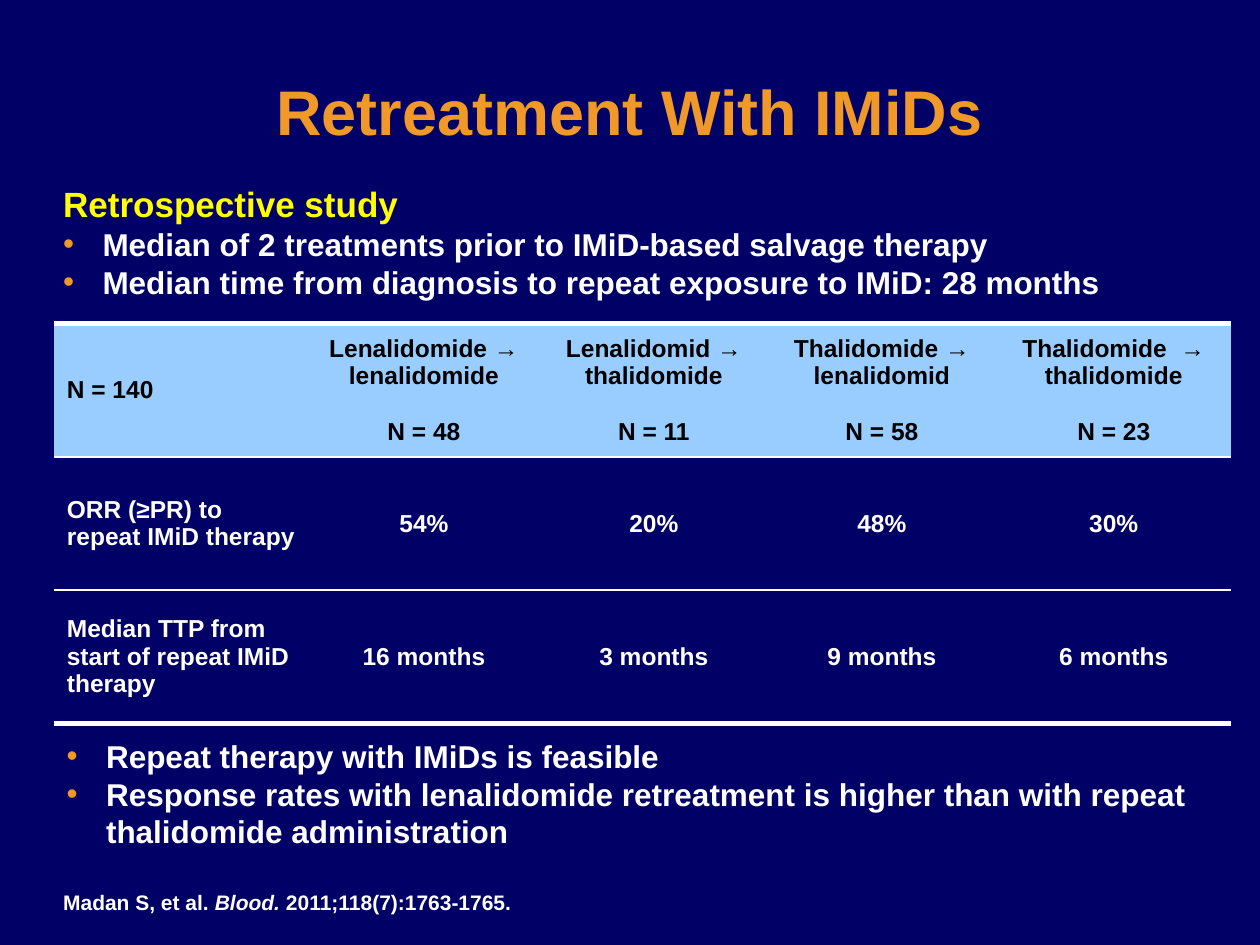
from lxml.etree import SubElement
from pptx import Presentation
from pptx.dml.color import RGBColor
from pptx.enum.text import MSO_ANCHOR as Anchor, PP_ALIGN as Align
from pptx.oxml import parse_xml
from pptx.oxml.ns import nsdecls, qn
from pptx.util import Pt

NAVY, WHITE, BLACK = "000066", "FFFFFF", "000000"
ORANGE, YELLOW, SKY = "F09828", "FFFF00", "99CCFF"


def rgb(value):
    return RGBColor.from_string(value)


class Deck:
    font = "Arial"

    def __init__(self, width, height):
        self.prs = Presentation()
        self.prs.slide_width, self.prs.slide_height = Pt(width), Pt(height)
        self.s = self.prs.slides.add_slide(self.prs.slide_layouts[5])
        fill = self.s.background.fill
        fill.solid()
        fill.fore_color.rgb = rgb(NAVY)

    def style(self, p, size, color):
        for r in p.runs:
            f = r.font
            f.name, f.size, f.bold = self.font, Pt(size), True
            f.color.rgb = rgb(color)

    def title(self, text, box, size=36):
        sp = self.s.shapes.title
        sp.left, sp.top, sp.width, sp.height = map(Pt, box)
        tf = sp.text_frame
        tf.text = text
        tf.vertical_anchor = Anchor.MIDDLE
        p = tf.paragraphs[0]
        p.alignment, p.line_spacing = Align.CENTER, 0.9
        self.style(p, size, ORANGE)
        latin = p.runs[0].font._element.find(qn("a:latin"))
        latin.addprevious(parse_xml(
            f'<a:effectLst {nsdecls("a")}><a:outerShdw blurRad="38100" dist="38100" '
            'dir="2700000"><a:srgbClr val="000000"/></a:outerShdw></a:effectLst>'))

    def bullet(self, p, indent=22.5):
        pPr = p._p.get_or_add_pPr()
        pPr.set("marL", str(Pt(indent)))
        pPr.set("indent", str(-Pt(indent)))
        SubElement(SubElement(pPr, qn("a:buClr")), qn("a:srgbClr")).set("val", ORANGE)
        SubElement(pPr, qn("a:buFont")).set("typeface", self.font)
        SubElement(pPr, qn("a:buChar")).set("char", "•")

    def text_box(self, box, wrap=True):
        tf = self.s.shapes.add_textbox(*map(Pt, box)).text_frame
        tf.word_wrap = wrap
        return tf

    def bullets(self, box, items, heading=None, wrap=True):
        tf = self.text_box(box, wrap)
        lines = ([heading] if heading else []) + items
        tf.text = "\n".join(lines)
        for p, line in zip(tf.paragraphs, lines):
            if line == heading:
                self.style(p, 20, YELLOW)
            else:
                self.bullet(p)
                self.style(p, 18, WHITE)

    def citation(self, box, parts):
        p = self.text_box(box, False).paragraphs[0]
        for text, italic in parts:
            r = p.add_run()
            r.text, r.font.italic = text, italic
        self.style(p, 12, WHITE)

    def borders(self, cell, top, bottom):
        tcPr = cell._tc.get_or_add_tcPr()
        for i, (side, width) in enumerate(zip("LRTB", (0, 0, top, bottom))):
            paint = f'<a:solidFill><a:srgbClr val="{WHITE}"/></a:solidFill>' if width else "<a:noFill/>"
            tcPr.insert(i, parse_xml(
                f'<a:ln{side} {nsdecls("a")} w="{Pt(width)}">{paint}</a:ln{side}>'))

    def table(self, box, widths, rows, size=14):
        tbl = self.s.shapes.add_table(len(rows), len(widths), *map(Pt, box)).table
        tbl.first_row = tbl.horz_banding = False
        for col, width in zip(tbl.columns, widths):
            col.width = Pt(width)
        last = len(rows) - 1
        for i, row in enumerate(rows):
            tbl.rows[i].height = Pt(box[3] / len(rows))
            for j, text in enumerate(row):
                cell = tbl.cell(i, j)
                cell.text = text
                cell.vertical_anchor = Anchor.MIDDLE
                for k, p in enumerate(cell.text_frame.paragraphs):
                    p.alignment = Align.CENTER if j else Align.LEFT
                    if k:
                        p.space_before = Pt(size * 1.15)
                    self.style(p, size, WHITE if i else BLACK)
                if i:
                    cell.fill.background()
                else:
                    cell.fill.solid()
                    cell.fill.fore_color.rgb = rgb(SKY)
                self.borders(cell, 1 if i else 3, 3 if i == last else 1)

    def save(self):
        self.prs.save("out.pptx")


def main():
    deck = Deck(720, 540)
    deck.title("Retreatment With IMiDs", (8, 33, 703.5, 66))
    deck.table((31, 185, 673, 228.5), (144.7, 133.2, 129.6, 131, 134), [
        ["N = 140", "Lenalidomide → lenalidomide\nN = 48", "Lenalidomid → thalidomide\nN = 11",
         "Thalidomide → lenalidomid\nN = 58", "Thalidomide  → thalidomide\nN = 23"],
        ["ORR (≥PR) to repeat IMiD therapy", "54%", "20%", "48%", "30%"],
        ["Median TTP from start of repeat IMiD therapy",
         "16 months", "3 months", "9 months", "6 months"],
    ])
    deck.bullets((31, 417.5, 674.5, 72.7), [
        "Repeat therapy with IMiDs is feasible",
        "Response rates with lenalidomide retreatment is higher than with repeat "
        "thalidomide administration",
    ])
    deck.citation((29, 505, 273, 21.8), [
        ("Madan S, et al. ", False), ("Blood. ", True), ("2011;118(7):1763-1765.", False)])
    deck.bullets((29, 101, 612.7, 75), [
        "Median of 2 treatments prior to IMiD-based salvage therapy",
        "Median time from diagnosis to repeat exposure to IMiD: 28 months",
    ], heading="Retrospective study", wrap=False)
    deck.save()


if __name__ == "__main__":
    main()
